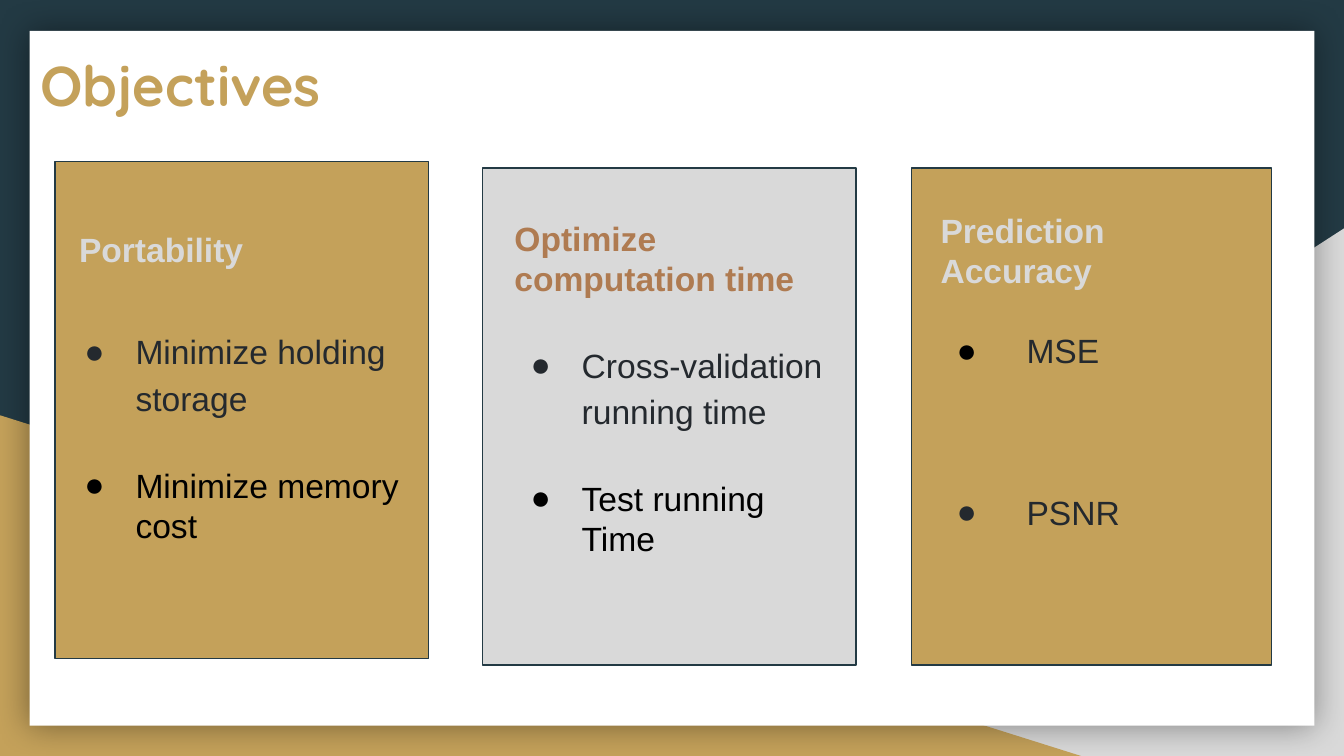
from dataclasses import dataclass

from lxml import etree
from pptx import Presentation
from pptx.dml.color import RGBColor
from pptx.enum import shapes, text
from pptx.oxml import ns
from pptx.util import Inches, Pt

NAVY, GOLD, GRAY, WHITE = "233A44", "C4A15A", "D9D9D9", "FFFFFF"
COPPER, INK, BLACK = "AF7B51", "24292E", "000000"
KIND = shapes.MSO_SHAPE


@dataclass
class Line:
    words: str
    color: str
    bullet: str = ""  # bullet colour, empty for a heading
    before: float = 0
    spacing: float = 1.0
    margin: float = 0.5
    hanging: float = 0.38


@dataclass
class Card:
    left: float
    top: float
    width: float
    fill: str
    lines: tuple = ()


@dataclass
class Note:
    left: float
    top: float
    width: float
    height: float
    lines: tuple


CARDS = (
    Card(0.41, 1.2, 2.78, GOLD, (
        Line("Minimize holding storage", INK, INK, spacing=1.15),
        Line("Minimize memory cost", BLACK, BLACK, before=25))),
    Card(3.59, 1.25, 2.78, GRAY),
    Card(6.78, 1.25, 2.68, GOLD),
)
NOTES = (
    Note(3.73, 1.52, 2.53, 2.37, (
        Line("Optimize computation time", COPPER),
        Line("Cross-validation running time", INK, INK, 21.5, 1.15),
        Line("Test running Time", BLACK, BLACK, 25))),
    Note(6.9, 1.46, 2.53, 1.82, (
        Line("Prediction Accuracy", GRAY),
        Line("MSE", INK, BLACK, 21.5, margin=0.64, hanging=0.52),
        Line("PSNR", INK, INK, 65, margin=0.64, hanging=0.52))),
    Note(0.49, 1.56, 1.96, 0.49, (Line("Portability", GRAY, spacing=1.15),)),
)


def rgb(color: str) -> RGBColor:
    return RGBColor.from_string(color)


def add_block(page, kind, left, top, width, height, fill: str, outline: str = ""):
    block = page.shapes.add_shape(
        kind, Inches(left), Inches(top), Inches(width), Inches(height))
    block.shadow.inherit = False
    block.fill.solid()
    block.fill.fore_color.rgb = rgb(fill)
    if outline:
        block.line.color.rgb = rgb(outline)
        block.line.width = Pt(0.75)
    else:
        block.line.fill.background()
    return block


def add_glow(block) -> None:
    """Soft dark shadow on every side of the sheet."""
    effects = block._element.spPr.find(ns.qn("a:effectLst"))
    shadow = etree.SubElement(effects, ns.qn("a:outerShdw"),
                              blurRad=str(Pt(18)), dist="0", algn="ctr", rotWithShape="0")
    color = etree.SubElement(shadow, ns.qn("a:srgbClr"), val=BLACK)
    etree.SubElement(color, ns.qn("a:alpha"), val="40000")


def add_bullet(para, line: Line) -> None:
    props = para._p.get_or_add_pPr()
    props.set("marL", str(Inches(line.margin)))
    props.set("indent", str(-Inches(line.hanging)))
    holder = etree.SubElement(props, ns.qn("a:buClr"))
    etree.SubElement(holder, ns.qn("a:srgbClr"), val=line.bullet)
    etree.SubElement(props, ns.qn("a:buFont"), typeface="Arial")
    etree.SubElement(props, ns.qn("a:buChar"), char="●")
    # Default run properties come after the bullet in the schema
    defaults = props.find(ns.qn("a:defRPr"))
    if defaults is not None:
        props.append(defaults)


def write(frame, lines: tuple, font: str = "Arial", size: float = 18) -> None:
    frame.word_wrap = True
    frame.vertical_anchor = text.MSO_ANCHOR.TOP
    frame.margin_left = frame.margin_right = Inches(0.1)
    frame.margin_top = frame.margin_bottom = Inches(0.1)
    for index, line in enumerate(lines):
        para = frame.add_paragraph() if index else frame.paragraphs[0]
        para.text = line.words
        para.alignment = text.PP_ALIGN.LEFT
        para.line_spacing = line.spacing
        para.space_before = Pt(line.before)
        para.font.name = font
        para.font.size = Pt(size)
        para.font.bold = not line.bullet
        para.font.color.rgb = rgb(line.color)
        if line.bullet:
            add_bullet(para, line)


def add_note(page, note: Note, font: str = "Arial", size: float = 18) -> None:
    box = page.shapes.add_textbox(Inches(note.left), Inches(note.top),
                                  Inches(note.width), Inches(note.height))
    write(box.text_frame, note.lines, font, size)


def main() -> None:
    deck = Presentation()
    # Widescreen, 16:9
    deck.slide_width = Inches(10)
    deck.slide_height = Inches(10 * 9 / 16)
    page = deck.slides.add_slide(deck.slide_layouts[6])

    # Backdrop: two corner triangles behind a white sheet
    page.background.fill.solid()
    page.background.fill.fore_color.rgb = rgb(NAVY)
    corner = add_block(page, KIND.RIGHT_TRIANGLE, 3.92, 1.7, 6.08, 3.93, GRAY)
    corner._element.spPr.get_or_add_xfrm().set("flipH", "1")
    add_block(page, KIND.RIGHT_TRIANGLE, 0, 3.09, 8.06, 2.54, GOLD)
    add_glow(add_block(page, KIND.RECTANGLE, 0.22, 0.23, 9.56, 5.17, WHITE))

    # Title
    add_note(page, Note(0.2, 0.28, 7.69, 1.37, (Line("Objectives", GOLD),)),
             "Quicksand", 30)

    # Cards, then the text laid over them
    for card in CARDS:
        block = add_block(page, KIND.RECTANGLE, card.left, card.top,
                          card.width, 3.7, card.fill, NAVY)
        if card.lines:
            write(block.text_frame, card.lines)
            block.text_frame.margin_top = Inches(1.22)
    for note in NOTES:
        add_note(page, note)

    deck.save("out.pptx")


if __name__ == "__main__":
    main()
